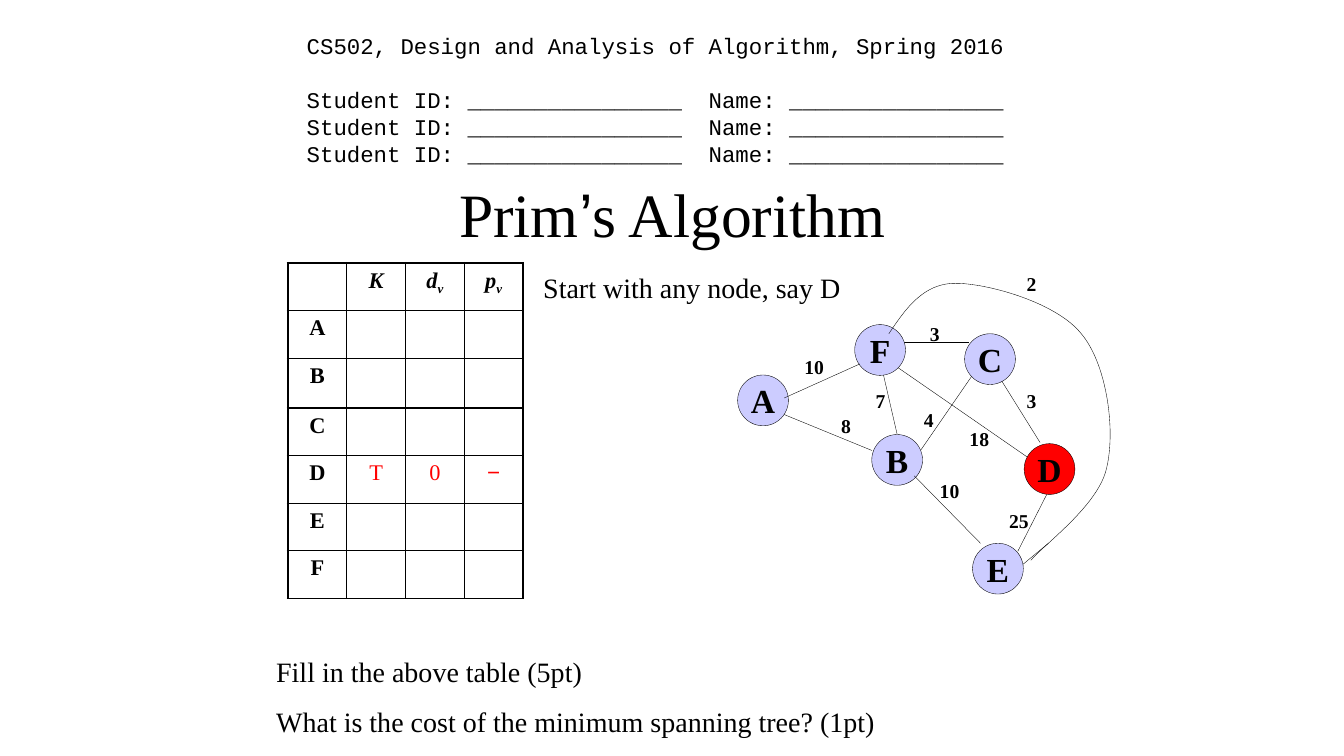
"""Builds an exam slide on Prim's algorithm with a table and a weighted graph."""
from lxml.etree import SubElement as Sub
from pptx import Presentation
from pptx.dml.color import RGBColor as Rgb
from pptx.enum.shapes import MSO_CONNECTOR as Link, MSO_SHAPE as Form
from pptx.enum.text import MSO_ANCHOR as Anchor, MSO_AUTO_SIZE as Fit, PP_ALIGN as Align
from pptx.oxml.ns import qn
from pptx.util import Cm, Pt

SERIF, SANS, MONO = "Times New Roman", "Arial", "Courier New"
BLACK, RED, LILAC = "000000", "FF0000", "CCCCFF"


def paint(target, color):
    target.rgb = Rgb.from_string(color)


def put(par, text, size=20, font=SERIF, color=BLACK, bold=False, italic=False, base=0):
    run = par.add_run()
    run.text = text
    face = run.font
    face.size, face.name, face.bold, face.italic = Pt(size), font, bold, italic
    paint(face.color, color)
    if base:
        run._r.get_or_add_rPr().set("baseline", str(base * 1000))


def setup(frame, inset=0.13, wrap=True, anchor=Anchor.TOP):
    frame.auto_size, frame.word_wrap = Fit.NONE, wrap
    frame.vertical_anchor = anchor
    frame.margin_left = frame.margin_right = Cm(inset)
    frame.margin_top = frame.margin_bottom = Cm(inset)


def bezier(start, one, two, end, steps=24):
    for step in range(1, steps + 1):
        t = step / steps
        u = 1 - t
        yield tuple(u**3 * a + 3 * u * u * t * b + 3 * u * t * t * c + t**3 * d
                    for a, b, c, d in zip(start, one, two, end))


class Sheet:
    """Holds the slide and its drawing style."""

    def __init__(self, deck):
        self.slide = deck.slides.add_slide(deck.slide_layouts[5])
        self.shapes = self.slide.shapes
        self.thin = Pt(0.25)

    def stroke(self, line):
        paint(line.color, BLACK)
        line.width = self.thin

    def title(self, runs, left, top, width, height):
        box = self.shapes.title
        box.left, box.top, box.width, box.height = map(Cm, (left, top, width, height))
        setup(box.text_frame, anchor=Anchor.MIDDLE)
        par = box.text_frame.paragraphs[0]
        par.alignment = Align.CENTER
        for text, font in runs:
            put(par, text, size=44, font=font)

    def text(self, lines, left, top, width, height, align=Align.LEFT, gaps=(), **style):
        box = self.shapes.add_textbox(*map(Cm, (left, top, width, height)))
        frame = box.text_frame
        setup(frame)
        for i, line in enumerate(lines):
            par = frame.add_paragraph() if i else frame.paragraphs[0]
            par.alignment = align
            if i and gaps:
                par.space_before = Pt(gaps[i - 1])
            put(par, line, **style)

    def edge(self, x1, y1, x2, y2):
        line = self.shapes.add_connector(Link.STRAIGHT, *map(Cm, (x1, y1, x2, y2)))
        self.stroke(line.line)
        Sub(line._element.spPr, qn("a:effectLst"))

    def weight(self, text, mid, top):
        width = 0.36 + 0.48 * len(text)
        self.text([text], mid - width / 2, top, width, 0.79, Align.CENTER, size=14, bold=True)

    def node(self, name, left, top, color):
        disc = self.shapes.add_shape(Form.OVAL, *map(Cm, (left, top, 1.28, 1.28)))
        disc.shadow.inherit = False
        disc.fill.solid()
        paint(disc.fill.fore_color, color)
        self.stroke(disc.line)
        setup(disc.text_frame, 0, False, Anchor.MIDDLE)
        par = disc.text_frame.paragraphs[0]
        par.alignment = Align.CENTER
        put(par, name, size=24, bold=True)

    def curve(self, start, parts):
        points, last = [], start
        for one, two, end in parts:
            points += bezier(last, one, two, end)
            last = end
        path = self.shapes.build_freeform(*map(Cm, start))
        path.add_line_segments([(Cm(x), Cm(y)) for x, y in points], close=False)
        arc = path.convert_to_shape()
        arc.shadow.inherit = False
        arc.fill.background()
        self.stroke(arc.line)

    def border(self, cell, widths):
        props = cell._tc.get_or_add_tcPr()
        for side, width in widths.items():
            line = Sub(props, qn("a:ln" + side), w=str(Pt(width)))
            Sub(Sub(line, qn("a:solidFill")), qn("a:srgbClr"), val=BLACK)

    def table(self, rows, left, top, wide, heights):
        count = len(rows[0])
        grid = self.shapes.add_table(len(rows), count, *map(
            Cm, (left, top, wide * count, sum(heights)))).table
        grid.first_row = grid.horz_banding = False
        for col in grid.columns:
            col.width = Cm(wide)
        for i, (row, high) in enumerate(zip(rows, heights)):
            grid.rows[i].height = Cm(high)
            for j, runs in enumerate(row):
                cell = grid.cell(i, j)
                cell.margin_left = cell.margin_right = Cm(0.13)
                cell.margin_top = cell.margin_bottom = Cm(0.13)
                self.border(cell, {"L": 1 if j else 2.25,
                                   "R": 2.25 if j == count - 1 else 1,
                                   "T": 1 if i else 2.25, "B": 1})
                cell.fill.background()
                par = cell.text_frame.paragraphs[0]
                par.alignment = Align.CENTER
                for text, style in runs:
                    put(par, text, size=16, **style)


def main():
    deck = Presentation()
    deck.slide_width, deck.slide_height = Cm(33.87), Cm(19.05)
    sheet = Sheet(deck)
    sheet.title([("Prim", SERIF), ("’", SANS), ("s Algorithm", SERIF)], 6.15, 3.78, 21.59, 3.18)

    under = [
        (26.72, 11.79, 25.65, 13.89),
        (22.17, 9.04, 22.61, 10.95),
        (23.04, 11.58, 24.51, 9.45),
        (25.98, 11.58, 22.61, 9.25),
        (19.43, 10.31, 21.97, 11.35),
        (22.73, 8.61, 24.41, 8.61),
        (25.15, 9.45, 26.21, 11.15),
    ]
    over = [
        (23.04, 11.99, 24.71, 13.69),
        (19.76, 10.03, 21.67, 9.17),
        (26.42, 13.69, 25.78, 14.22),
    ]
    nodes = [
        ("A", 18.59, 9.45, LILAC), ("B", 21.97, 10.95, LILAC),
        ("F", 21.54, 8.18, LILAC), ("E", 24.51, 13.69, LILAC),
        ("C", 24.31, 8.41, LILAC), ("D", 25.81, 11.18, RED),
    ]
    weights = [
        ("25", 25.68, 12.7), ("10", 23.93, 11.94), ("18", 24.68, 10.64),
        ("3", 26, 9.68), ("4", 23.41, 10.16), ("3", 23.56, 7.98),
        ("7", 22.19, 9.68), ("8", 21.32, 10.31), ("10", 20.52, 8.81), ("2", 26, 6.71),
    ]
    for ends in under:
        sheet.edge(*ends)
    for node in nodes:
        sheet.node(*node)
    for ends in over:
        sheet.edge(*ends)
    sheet.curve((22.4, 8.41), [
        ((22.83, 7.77), (23.27, 7.14), (24.08, 7.14)),
        ((24.89, 7.14), (26.62, 7.62), (27.25, 8.41)),
        ((27.89, 9.17), (28.12, 10.82), (27.89, 11.79)),
        ((27.69, 12.73), (26.31, 13.72), (25.98, 14.12)),
    ])
    for item in weights:
        sheet.weight(*item)

    sign = "Student ID: ________________  Name: ________________"
    sheet.text(["CS502, Design and Analysis of Algorithm, Spring 2016"] + [sign] * 3,
               4.78, 0.69, 23.47, 4.6, Align.CENTER, (19, 0, 0), size=16, font=MONO)
    sheet.text(["Start with any node, say D"], 13.56, 6.68, 8.05, 1.04)

    bold, red = {"bold": True}, {"color": RED}
    head = {"bold": True, "italic": True}
    sub = {**head, "base": -25}
    rows = [[[], [("K", head)], [("d", head), ("v", sub)], [("p", head), ("v", sub)]]]
    rows += [[[(name, bold)], [], [], []] for name in "ABCDEF"]
    rows[4][1:] = [[("T", red)], [("0", red)], [("−", {**red, "font": SANS})]]
    sheet.table(rows, 7.26, 6.63, 1.48, [1.2, 1.2, 1.25] + [1.2] * 4)

    sheet.text(["Fill in the above table (5pt)",
                "What is the cost of the minimum spanning tree? (1pt)"],
               6.83, 16.36, 17.35, 2.26, gaps=(12,))
    deck.save("out.pptx")


if __name__ == "__main__":
    main()
